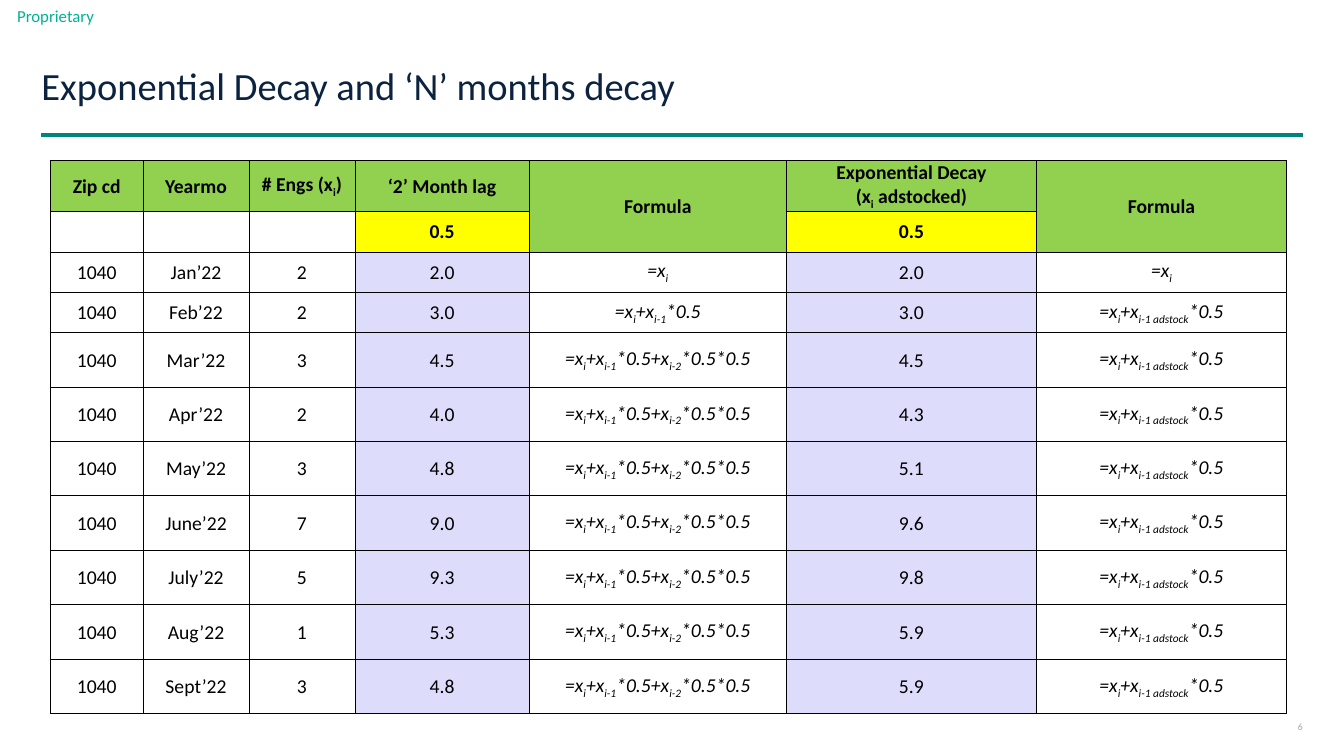
from pptx import Presentation
from pptx.dml.color import RGBColor
from pptx.enum.shapes import MSO_CONNECTOR
from pptx.enum.text import MSO_ANCHOR, PP_ALIGN
from pptx.oxml import parse_xml
from pptx.oxml.ns import nsdecls, qn
from pptx.util import Inches, Pt
from lxml.etree import SubElement

# Content: text between bars is subscript, a line break starts a paragraph
TITLE = "Exponential Decay and ‘N’ months decay"
HEADERS = ["Zip cd", "Yearmo", "# Engs (x|i|)", "‘2’ Month lag", "Formula",
           "Exponential Decay\n(x|i| adstocked)", "Formula"]
RATES = ["", "", "", "0.5", "", "0.5", ""]
ZIP_CODE = "1040"
MONTHS = [  # month, engagements, two-month lag, exponential decay
    ("Jan’22", "2", "2.0", "2.0"),
    ("Feb’22", "2", "3.0", "3.0"),
    ("Mar’22", "3", "4.5", "4.5"),
    ("Apr’22", "2", "4.0", "4.3"),
    ("May’22", "3", "4.8", "5.1"),
    ("June’22", "7", "9.0", "9.6"),
    ("July’22", "5", "9.3", "9.8"),
    ("Aug’22", "1", "5.3", "5.9"),
    ("Sept’22", "3", "4.8", "5.9"),
]
LAG_FORMULAS = ["=x|i", "=x|i|+x|i-1|*0.5", "=x|i|+x|i-1|*0.5+x|i-2|*0.5*0.5"]
DECAY_FORMULAS = ["=x|i", "=x|i|+x|i-1 adstock|*0.5"]

# Layout and colours
COL_WIDTHS = [0.92, 1.05, 1.05, 1.73, 2.55, 2.48, 2.48]
ROW_HEIGHTS = [0.5] + [0.4] * 3 + [0.54] * 7
FORMULA_COLS = (4, 6)
VALUE_COLS = (3, 5)
FONT = "Calibri"
BLACK, WHITE, GREEN, YELLOW, LILAC = "000000", "FFFFFF", "92D050", "FFFF00", "DDDCFA"


def rgb(color):
    return RGBColor.from_string(color)


def add_run(p, text, size, color, bold=False, italic=False, subscript=False):
    r = p.add_run()
    r.text = text
    r.font.name, r.font.size = FONT, Pt(size)
    r.font.bold, r.font.italic = bold, italic
    r.font.color.rgb = rgb(color)
    if subscript:
        r._r.get_or_add_rPr().set("baseline", "-25000")


def set_frame(tf, left=0):
    tf.word_wrap = True
    tf.vertical_anchor = MSO_ANCHOR.MIDDLE
    tf.margin_left = Inches(left)
    tf.margin_right = tf.margin_top = tf.margin_bottom = 0


def add_label(s, box, text, size, color, align, left=0):
    tf = s.shapes.add_textbox(*map(Inches, box)).text_frame
    set_frame(tf, left)
    p = tf.paragraphs[0]
    p.alignment = align
    add_run(p, text, size, color)


def set_borders(cell):
    tcPr = cell._tc.get_or_add_tcPr()
    for side in ("lnL", "lnR", "lnT", "lnB"):
        tcPr.append(parse_xml(
            f'<a:{side} {nsdecls("a")} w="{Pt(0.5)}"><a:solidFill>'
            f'<a:srgbClr val="{BLACK}"/></a:solidFill></a:{side}>'))


def fill_cell(cell, text, fill, bold, italic):
    set_borders(cell)
    cell.fill.solid()
    cell.fill.fore_color.rgb = rgb(fill)
    cell.vertical_anchor = MSO_ANCHOR.MIDDLE
    cell.margin_left = cell.margin_right = cell.margin_top = Inches(0.01)
    cell.margin_bottom = 0
    tf = cell.text_frame
    for n, line in enumerate(text.split("\n")):
        p = tf.add_paragraph() if n else tf.paragraphs[0]
        p.alignment = PP_ALIGN.CENTER
        p.font.size = Pt(14)
        for k, part in enumerate(line.split("|")):
            if part:
                add_run(p, part, 14, BLACK, bold, italic, subscript=k % 2 == 1)


def cell_fill(row, col):
    if row == 0 or (row == 1 and col in FORMULA_COLS):
        return GREEN
    if col in VALUE_COLS:
        return YELLOW if row == 1 else LILAC
    return WHITE


def table_rows():
    rows = [HEADERS, RATES]
    for n, (month, engs, lag, decay) in enumerate(MONTHS):
        rows.append([ZIP_CODE, month, engs, lag, LAG_FORMULAS[min(n, 2)],
                     decay, DECAY_FORMULAS[min(n, 1)]])
    return rows


def add_decay_table(s):
    rows = table_rows()
    table = s.shapes.add_table(
        len(rows), len(COL_WIDTHS), Inches(0.5), Inches(1.59),
        Inches(sum(COL_WIDTHS)), Inches(sum(ROW_HEIGHTS))).table
    table.first_row = table.horz_banding = False
    for column, width in zip(table.columns, COL_WIDTHS):
        column.width = Inches(width)
    for row, height in zip(table.rows, ROW_HEIGHTS):
        row.height = Inches(height)
    for i, texts in enumerate(rows):
        for j, text in enumerate(texts):
            fill_cell(table.cell(i, j), text, cell_fill(i, j),
                      bold=i < 2, italic=i > 1 and j in FORMULA_COLS)
    for j in FORMULA_COLS:
        table.cell(0, j).merge(table.cell(1, j))


def main():
    prs = Presentation()
    prs.slide_width, prs.slide_height = Inches(13.33), Inches(7.5)
    s = prs.slides.add_slide(prs.slide_layouts[5])

    # Title
    title = s.shapes.title
    title.left, title.top, title.width, title.height = map(Inches, (0.41, 0.41, 12.51, 0.93))
    set_frame(title.text_frame)
    p = title.text_frame.paragraphs[0]
    p.alignment, p.line_spacing = PP_ALIGN.LEFT, 0.9
    add_run(p, TITLE, 27.5, "0C2340")

    # Rule under the title
    rule = s.shapes.add_connector(MSO_CONNECTOR.STRAIGHT, Inches(0.41), Inches(1.34),
                                  Inches(12.92), Inches(1.34))
    rule.line.color.rgb = rgb("00857C")
    rule.line.width = Pt(2.5)
    SubElement(rule._element.spPr, qn("a:effectLst"))

    # Classification label and page number
    add_label(s, (0, 0, 1.11, 0.32), "Proprietary", 12, "00B294", PP_ALIGN.LEFT, left=0.17)
    add_label(s, (12.67, 7.09, 0.25, 0.24), "6", 7, "9EA7B3", PP_ALIGN.RIGHT)

    add_decay_table(s)
    prs.save("out.pptx")


if __name__ == "__main__":
    main()
